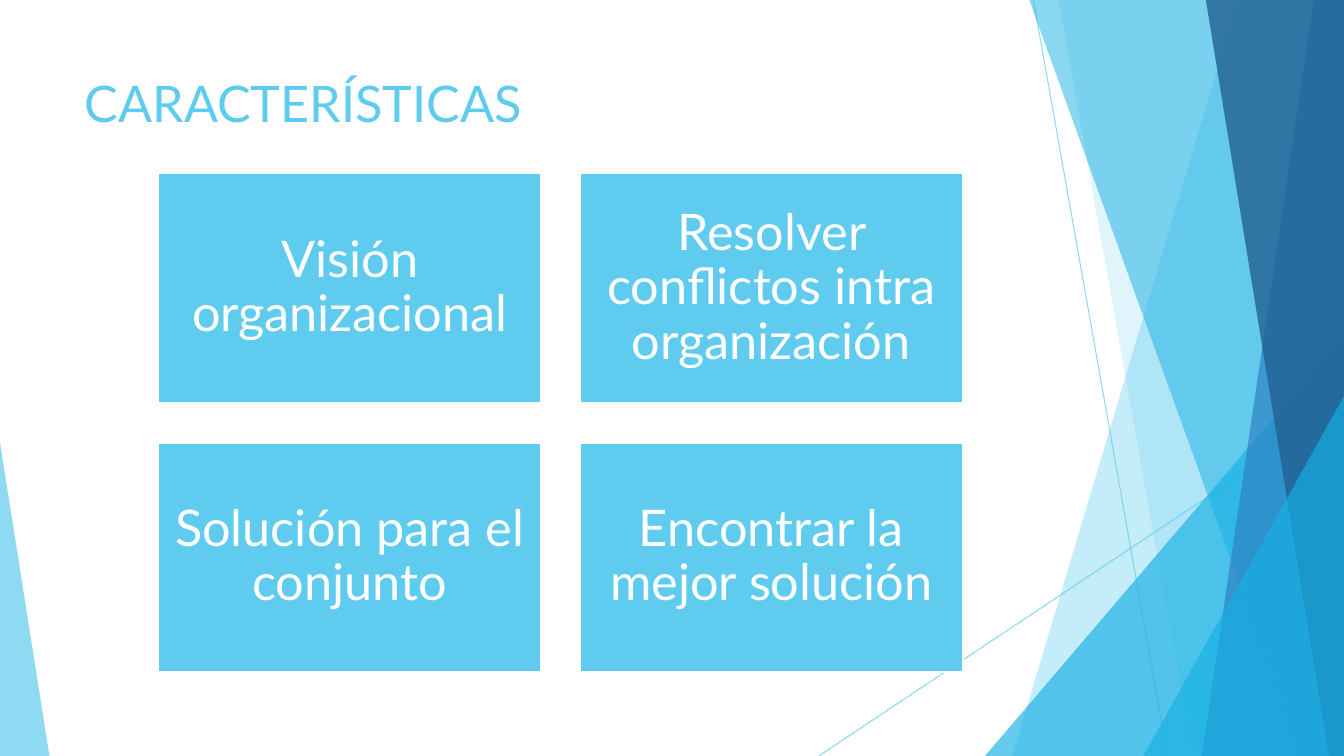
import pptx
import pptx.util
import pptx.dml.color
import pptx.enum.shapes
import pptx.enum.text
import pptx.oxml.ns
import lxml.etree

Pt = pptx.util.Pt
Kind = pptx.enum.shapes.MSO_SHAPE
Align = pptx.enum.text.PP_ALIGN
Anchor = pptx.enum.text.MSO_ANCHOR
qn = pptx.oxml.ns.qn

HUES = {"sky": "5FCBEF", "cyan": "17B0E4", "blue": "2E83C3",
        "navy": "226292", "white": "FFFFFF"}
RGB = {name: pptx.dml.color.RGBColor.from_string(hue) for name, hue in HUES.items()}

deck = pptx.Presentation()
deck.slide_width = pptx.util.Inches(13.33)
deck.slide_height = pptx.util.Inches(7.5)
slide = deck.slides.add_slide(deck.slide_layouts[5])
shapes = slide.shapes

# Lengths are percent of the slide: col across, row down
col = deck.slide_width / 100
row = deck.slide_height / 100


def fade(part, share):
    for hue in part.element.iter(qn("a:srgbClr")):
        lxml.etree.SubElement(hue, qn("a:alpha")).set("val", str(share * 1000))


def write(frame, text, hue, align, anchor):
    frame.word_wrap = True
    frame.auto_size = pptx.enum.text.MSO_AUTO_SIZE.NONE
    frame.vertical_anchor = anchor
    para = frame.paragraphs[0]
    para.alignment = align
    run = para.add_run()
    run.text = text
    run.font.name = "Lato"
    run.font.size = Pt(36)
    run.font.color.rgb = RGB[hue]
    return para


# Thin lines behind the shards
for x1, y1, x2, y2 in [(76.89, 0, 86.87, 100), (100, 53.73, 60.92, 100)]:
    line = shapes.add_connector(pptx.enum.shapes.MSO_CONNECTOR.STRAIGHT,
                                int(x1 * col), int(y1 * row), int(x2 * col), int(y2 * row))
    line.line.color.rgb = RGB["sky"]
    line.line.width = Pt(0.75)
    lxml.etree.SubElement(line.element.spPr, qn("a:effectLst"))
    fade(line, 70)

# Shards: a band gives its top and foot x, a peak its left, top, width and apex
shards = [
    ("band", (92.12, 75.32), "sky", 36),
    ("band", (78.77, 88.75), "sky", 20),
    ("peak", (73.29, 44.4, 26.71, 1), "cyan", 66),
    ("band", (76.59, 96.85), "cyan", 50),
    ("band", (97.75, 89.42), "blue", 70),
    ("band", (89.72, 98.87), "navy", 80),
    ("peak", (85.07, 52.4, 14.93, 1), "cyan", 66),
    ("peak", (0, 58.53, 3.68, 0), "sky", 70),
]
for kind, place, hue, share in shards:
    if kind == "band":
        head, foot = place
        path = shapes.build_freeform(int(head * col), 0)
        path.add_line_segments([(int(x * col), int(y * row))
                                for x, y in [(100, 0), (100, 100), (foot, 100)]])
        shard = path.convert_to_shape()
    else:
        left, top, wide, apex = place
        shard = shapes.add_shape(Kind.ISOSCELES_TRIANGLE, int(left * col), int(top * row),
                                 int(wide * col), int((100 - top) * row))
        shard.adjustments[0] = apex
    shard.shadow.inherit = False
    shard.fill.solid()
    shard.fill.fore_color.rgb = RGB[hue]
    shard.line.fill.background()
    fade(shard, share)

# Title
title = shapes.title
title.left, title.top = int(5.55 * col), int(8.93 * row)
title.width, title.height = int(70.52 * col), int(19.2 * row)
write(title.text_frame, "CARACTERÍSTICAS", "sky", Align.LEFT, Anchor.TOP)

# Cards, two by two
cards = ["Visión organizacional", "Resolver conflictos intra organización",
         "Solución para el conjunto", "Encontrar la mejor solución"]
for i, text in enumerate(cards):
    down, across = divmod(i, 2)
    card = shapes.add_shape(Kind.RECTANGLE,
                            int((11.78 + 31.36 * across) * col),
                            int((22.93 + 35.6 * down) * row),
                            int(28.5 * col), int(30.4 * row))
    card.shadow.inherit = False
    card.fill.solid()
    card.fill.fore_color.rgb = RGB["sky"]
    card.line.color.rgb = RGB["white"]
    card.line.width = Pt(1.5)
    frame = card.text_frame
    frame.margin_left = frame.margin_right = int(1.13 * col)
    frame.margin_top = frame.margin_bottom = int(2 * row)
    para = write(frame, text, "white", Align.CENTER, Anchor.MIDDLE)
    para.line_spacing = 0.9
    para.space_after = Pt(12.6)

deck.save("out.pptx")
